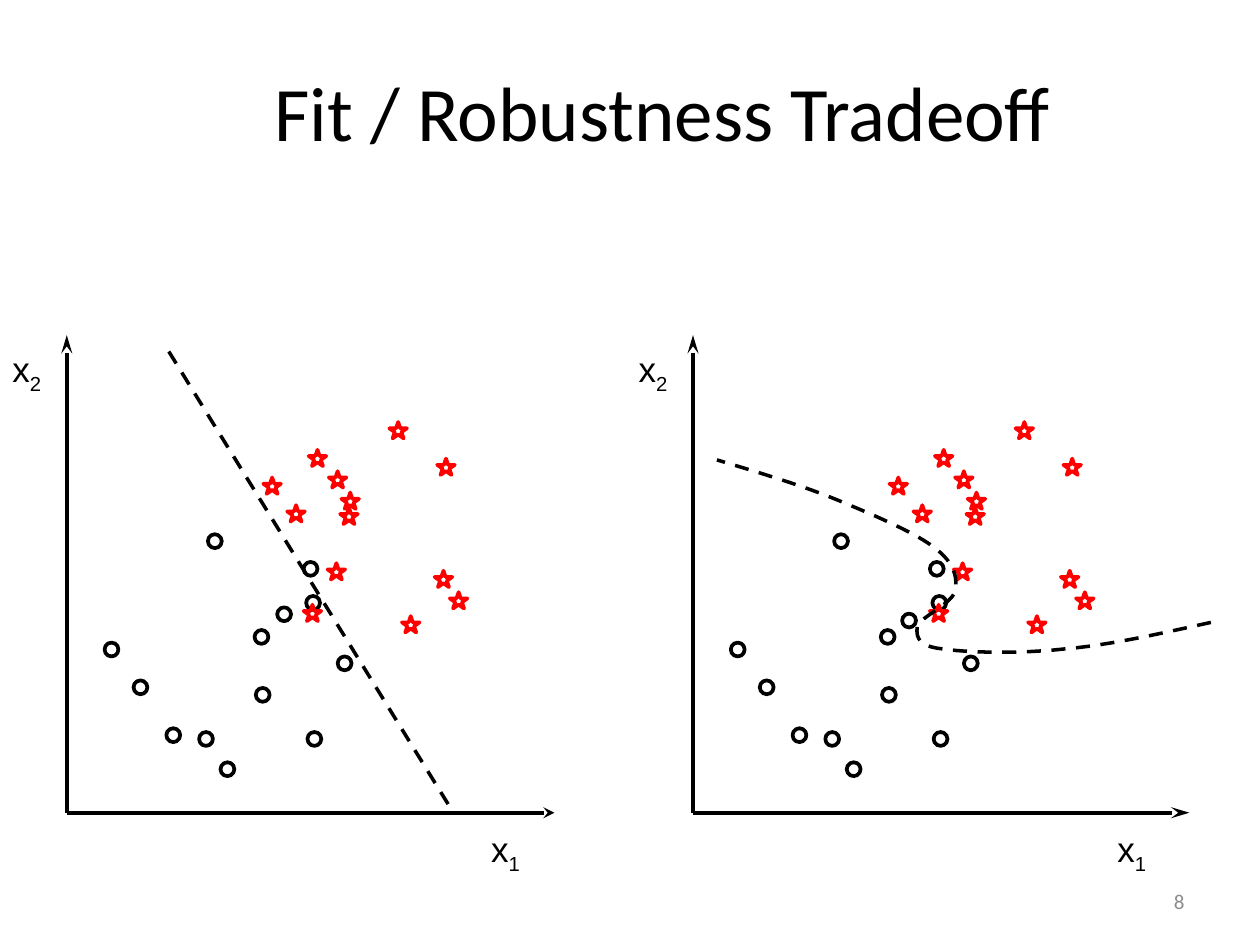
"""Build the Fit / Robustness Tradeoff slide: two scatter panels, each with a decision boundary."""
from lxml.etree import SubElement
from pptx import Presentation
from pptx.dml.color import RGBColor
from pptx.enum.dml import MSO_LINE
from pptx.enum.shapes import MSO_CONNECTOR, MSO_SHAPE
from pptx.enum.text import MSO_ANCHOR, PP_ALIGN
from pptx.oxml.ns import qn
from pptx.util import Inches, Pt

COLORS = {"ink": "000000", "paper": "FFFFFF", "star": "FF0000", "number": "8C8C8C"}

prs = Presentation()
prs.slide_width, prs.slide_height = Inches(10), Inches(7.5)
slide = prs.slides.add_slide(prs.slide_layouts[6])
shapes = slide.shapes
COL, ROW = prs.slide_width // 1000, prs.slide_height // 750


def add_text(text, box, size, font="Calibri", color="ink", align=PP_ALIGN.LEFT,
             anchor=MSO_ANCHOR.MIDDLE, sub=""):
    x, y, w, h = box
    tf = shapes.add_textbox(x * COL, y * ROW, w * COL, h * ROW).text_frame
    tf.word_wrap = True
    tf.vertical_anchor = anchor
    p = tf.paragraphs[0]
    p.alignment = align
    for part, baseline in ((text, None), (sub, "-25000")):
        if part:
            r = p.add_run()
            r.text = part
            r.font.size, r.font.name = Pt(size), font
            r.font.color.rgb = RGBColor.from_string(COLORS[color])
            if baseline:
                r.font._element.set("baseline", baseline)


def outline(sp, color="ink", width=2.13, dash=None, head=None):
    sp.line.color.rgb = RGBColor.from_string(COLORS[color])
    sp.line.width = Pt(width)
    if dash:
        sp.line.dash_style = dash
    if head:
        SubElement(sp.line._get_or_add_ln(), qn("a:tailEnd"), type="stealth", w="med", len=head)
    SubElement(sp._element.spPr, qn("a:effectLst"))


CIRCLES = [(175, 605), (158, 581), (244, 581), (132, 578), (106, 540), (83, 510), (203, 546),
           (243, 473), (268, 521), (241, 446), (202, 500), (165, 424)]
STARS = [(241, 480), (345, 453), (319, 489), (228, 401), (357, 470), (261, 374), (260, 447),
         (270, 403), (209, 379), (245, 357), (309, 335), (271, 391), (347, 364)]
PANELS = [
    {"left": 0, "x_end": 440, "x_head": "med", "near": (220, 482)},
    {"left": 497, "x_end": 944, "x_head": "lg", "near": (219, 487)},
]
CURVE = [(961, 494), (920, 503), (881, 512), (845, 515), (810, 519), (767, 518), (748, 515),
         (728, 513), (727, 505), (728, 497), (730, 490), (756, 479), (758, 469), (760, 459),
         (758, 447), (742, 435), (727, 423), (694, 409), (665, 397), (636, 385), (602, 375),
         (569, 365)]
STEPS = 12

add_text("Fit / Robustness Tradeoff", (101, 25, 850, 125), 44, align=PP_ALIGN.CENTER)

for panel in PANELS:
    left = panel["left"]
    for points, kind, w, h, color in (
            (CIRCLES + [panel["near"]], MSO_SHAPE.OVAL, 11, 11, "ink"),
            (STARS, MSO_SHAPE.STAR_5_POINT, 14, 13, "star")):
        for x, y in points:
            sp = shapes.add_shape(kind, (left + x) * COL, y * ROW, w * COL, h * ROW)
            if kind == MSO_SHAPE.OVAL:
                sp.fill.solid()
                sp.fill.fore_color.rgb = RGBColor.from_string(COLORS["paper"])
            else:
                sp.fill.background()
            outline(sp, color)

    origin = left + 53
    for x, y, head in ((panel["x_end"], 645, panel["x_head"]), (origin, 266, "lg")):
        axis = shapes.add_connector(MSO_CONNECTOR.STRAIGHT, origin * COL, 645 * ROW,
                                    x * COL, y * ROW)
        outline(axis, head=head)

    for sub, x, y, w in (("1", 380, 652, 76), ("2", 0, 271, 49)):
        add_text("x", (left + x, y, w, 43), 20, "Arial", anchor=MSO_ANCHOR.TOP, sub=sub)

line = shapes.add_connector(MSO_CONNECTOR.STRAIGHT, 134 * COL, 279 * ROW, 358 * COL, 642 * ROW)
outline(line, width=2, dash=MSO_LINE.DASH)

trail = []
for i in range(0, len(CURVE) - 1, 3):
    for t in (step / STEPS for step in range(1, STEPS + 1)):
        weights = ((1 - t) ** 3, 3 * t * (1 - t) ** 2, 3 * t * t * (1 - t), t ** 3)
        trail.append(tuple(sum(k * pt[axis] for k, pt in zip(weights, CURVE[i:i + 4])) * unit
                           for axis, unit in enumerate((COL, ROW))))
builder = shapes.build_freeform(CURVE[0][0] * COL, CURVE[0][1] * ROW)
builder.add_line_segments(trail, close=False)
curve = builder.convert_to_shape()
curve.fill.background()
outline(curve, width=2, dash=MSO_LINE.DASH)

add_text("8", (717, 695, 233, 40), 12, color="number", align=PP_ALIGN.RIGHT)

prs.save("out.pptx")
